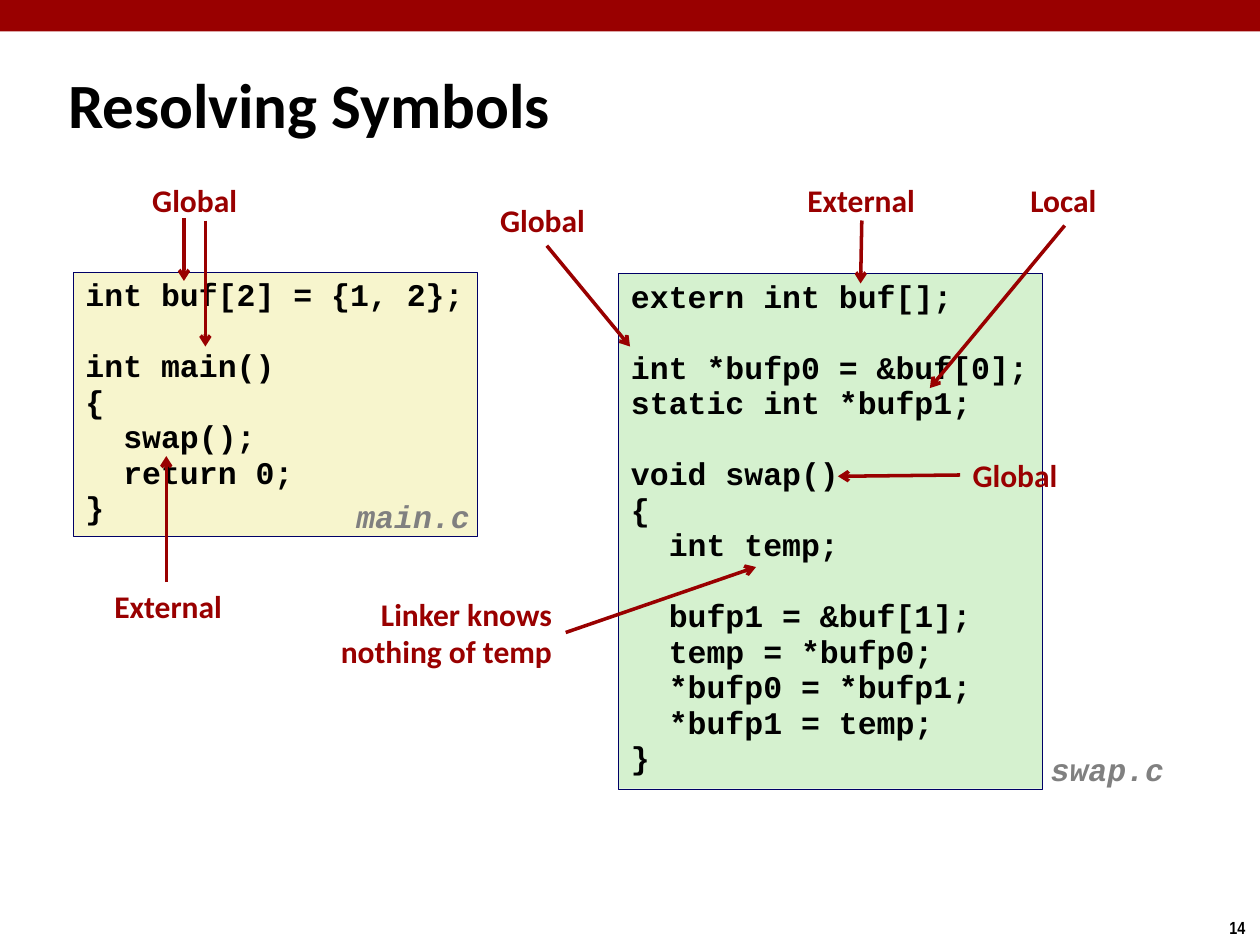
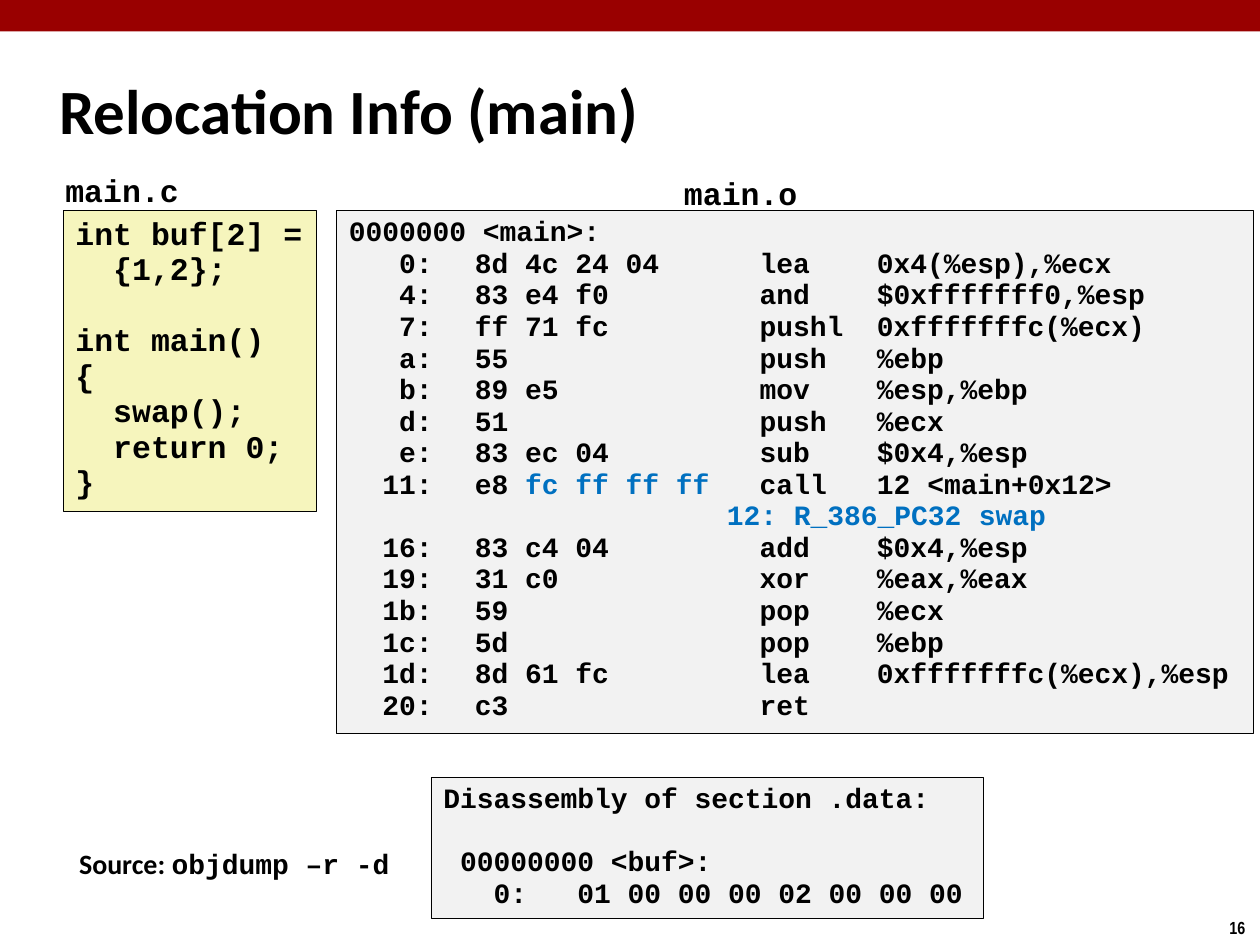
from dataclasses import dataclass

from lxml import etree
from pptx import Presentation
from pptx import util as u
from pptx.dml.color import RGBColor
from pptx.enum import shapes, text
from pptx.oxml import ns

PX = u.Inches(1) // 100  # 100 px to the inch

RED = RGBColor(0x99, 0, 0)
BLACK = RGBColor(0, 0, 0)
NAVY = RGBColor(0, 0, 0x66)
GREY = RGBColor(0x80, 0x80, 0x80)
BLUE = RGBColor(0, 0x70, 0xC0)
CREAM = RGBColor(0xF7, 0xF5, 0xCD)
LEMON = RGBColor(0xF6, 0xF5, 0xBD)
MINT = RGBColor(0xD5, 0xF1, 0xCF)
PALE = RGBColor(0xF2, 0xF2, 0xF2)

SANS = "Calibri"
MONO = "Courier New"
TIGHT = 0.94  # line spacing of code

MAIN = """int buf[2] = {1, 2};

int main()
{
  swap();
  return 0;
}"""

SWAP = """extern int buf[];

int *bufp0 = &buf[0];
static int *bufp1;

void swap()
{
  int temp;

  bufp1 = &buf[1];
  temp = *bufp0;
  *bufp0 = *bufp1;
  *bufp1 = temp;
}"""

DATA = """Disassembly of section .data:

 00000000 <buf>:
   0:   01 00 00 00 02 00 00 00"""

FIX = "12: R_386_PC32\tswap"
ASM = f"""0000000 <main>:
   0:\t8d 4c 24 04      lea    0x4(%esp),%ecx
   4:\t83 e4 f0         and    $0xfffffff0,%esp
   7:\tff 71 fc         pushl  0xfffffffc(%ecx)
   a:\t55               push   %ebp
   b:\t89 e5            mov    %esp,%ebp
   d:\t51               push   %ecx
   e:\t83 ec 04         sub    $0x4,%esp
  11:\te8 fc ff ff ff   call   12 <main+0x12>
\t\t\t{FIX}
  16:\t83 c4 04         add    $0x4,%esp
  19:\t31 c0            xor    %eax,%eax
  1b:\t59               pop    %ecx
  1c:\t5d               pop    %ebp
  1d:\t8d 61 fc         lea    0xfffffffc(%ecx),%esp
  20:\tc3               ret"""


@dataclass
class Box:
    x: int
    y: int
    w: int
    h: int

    def emu(self) -> list[int]:
        return [n * PX for n in (self.x, self.y, self.w, self.h)]


@dataclass
class Code:
    body: str
    box: Box
    fill: RGBColor
    line: RGBColor = BLACK
    size: int = 18
    marks: tuple[str, ...] = ()


@dataclass
class Note:
    body: str
    box: Box
    lines: tuple[tuple[int, int, int, int], ...]
    right: bool = False


CALLS = [
    Note("Global", Box(111, 139, 88, 40), ((146, 173, 146, 223), (163, 175, 163, 275))),
    Note("External", Box(81, 461, 106, 40), ((132, 462, 132, 362),)),
    Note("External", Box(631, 139, 106, 40), ((684, 175, 683, 225),)),
    Note("Local", Box(808, 139, 73, 40), ((845, 179, 738, 308),)),
    Note("Global", Box(762, 357, 88, 40), ((762, 377, 665, 378),)),
    Note("Linker knows\nnothing of temp", Box(259, 467, 189, 71),
         ((449, 502, 600, 450),), right=True),
    Note("Global", Box(387, 155, 88, 40), ((434, 195, 500, 275),)),
]


def split(row: str, marks: tuple[str, ...]) -> list[tuple[str, bool]]:
    """Cut a row into parts, each with a flag that says it is marked."""
    for mark in marks:
        if mark in row:
            head, _, tail = row.partition(mark)
            return [part for part in ((head, False), (mark, True), (tail, False)) if part[0]]
    return [(row or " ", False)]


def set_tabs(para) -> None:
    """Put a tab stop at each inch."""
    tabs = etree.SubElement(para._p.get_or_add_pPr(), ns.qn("a:tabLst"))
    for inch in range(1, 8):
        etree.SubElement(tabs, ns.qn("a:tab"), pos=str(inch * 100 * PX), algn="l")


def write(frame, body: str, *, size: int = 18, face: str = SANS, color: RGBColor = BLACK,
          italic: bool = False, align=text.PP_ALIGN.LEFT, pitch: float | None = None,
          anchor=text.MSO_ANCHOR.TOP, fit=text.MSO_AUTO_SIZE.SHAPE_TO_FIT_TEXT,
          marks: tuple[str, ...] = (), hue: RGBColor = BLUE, alt: str = MONO) -> None:
    """Fill a frame; marked phrases take the colour hue and the font alt."""
    frame.word_wrap = False
    frame.auto_size = fit
    frame.vertical_anchor = anchor
    for i, row in enumerate(body.split("\n")):
        para = frame.paragraphs[0] if i == 0 else frame.add_paragraph()
        para.alignment = align
        if pitch:
            para.line_spacing = pitch
        if "\t" in row:
            set_tabs(para)
        for part, marked in split(row, marks):
            run = para.add_run()
            run.text = part
            font = run.font
            font.size, font.bold, font.italic = u.Pt(size), True, italic
            font.name = alt if marked else face
            font.color.rgb = hue if marked else color


def label(slide, body: str, box: Box, **style) -> None:
    write(slide.shapes.add_textbox(*box.emu()).text_frame, body, **style)


def panel(slide, box: Box, fill: RGBColor, line: RGBColor | None = None):
    rect = slide.shapes.add_shape(shapes.MSO_SHAPE.RECTANGLE, *box.emu())
    rect.shadow.inherit = False
    rect.fill.solid()
    rect.fill.fore_color.rgb = fill
    if line is None:
        rect.line.fill.background()
    else:
        rect.line.color.rgb = line
        rect.line.width = u.Pt(0.25)
    return rect


def listing(slide, code: Code) -> None:
    rect = panel(slide, code.box, code.fill, code.line)
    write(rect.text_frame, code.body, size=code.size, face=MONO, pitch=TIGHT, marks=code.marks)


def arrow(slide, ends: tuple[int, int, int, int]) -> None:
    line = slide.shapes.add_connector(shapes.MSO_CONNECTOR.STRAIGHT, *(n * PX for n in ends))
    line.line.color.rgb = RED
    line.line.width = u.Pt(2)
    etree.SubElement(line.line._get_or_add_ln(), ns.qn("a:tailEnd"), type="arrow")
    etree.SubElement(line._element.spPr, ns.qn("a:effectLst"))


def start(deck, title: str, box: Box, page: int, pitch: float | None = None):
    """Add a slide with its band, page number and title."""
    slide = deck.slides.add_slide(deck.slide_layouts[5])
    panel(slide, Box(0, 0, 1000, 25), RED)
    label(slide, str(page), Box(966, 723, 34, 27), size=10, face="Arial Narrow")
    head = slide.shapes.title
    head.left, head.top, head.width, head.height = box.emu()
    write(head.text_frame, title, size=36, pitch=pitch,
          anchor=text.MSO_ANCHOR.MIDDLE, fit=text.MSO_AUTO_SIZE.NONE)
    return slide


def symbols(deck) -> None:
    slide = start(deck, "Resolving Symbols", Box(44, 39, 953, 86), 14)
    listing(slide, Code(MAIN, Box(58, 216, 321, 210), CREAM, NAVY))
    listing(slide, Code(SWAP, Box(491, 217, 336, 409), MINT, NAVY))
    for name, x, y in (("main.c", 273, 392), ("swap.c", 824, 593)):
        label(slide, name, Box(x, y, 110, 39), face=MONO, color=GREY, italic=True, pitch=TIGHT)
    for note in CALLS:
        align = text.PP_ALIGN.RIGHT if note.right else text.PP_ALIGN.LEFT
        label(slide, note.body, note.box, color=RED, align=align)
        for ends in note.lines:
            arrow(slide, ends)


def reloc(deck) -> None:
    slide = start(deck, "Relocation Info (main)", Box(37, 49, 953, 86), 16, pitch=0.82)
    short = MAIN.replace("= {1, 2};", "=\n  {1,2};")
    listing(slide, Code(short, Box(50, 167, 201, 239), LEMON))
    listing(slide, Code(DATA, Box(342, 617, 438, 112), PALE, size=16))
    label(slide, "Source: objdump –r -d", Box(53, 668, 270, 37), size=16, pitch=0.98,
          marks=("objdump –r -d",), hue=BLACK)
    for name, x, y in (("main.c", 42, 131), ("main.o", 533, 133)):
        label(slide, name, Box(x, y, 111, 40), face=MONO)
    listing(slide, Code(ASM, Box(267, 167, 728, 415), PALE, size=16,
                        marks=("fc ff ff ff", FIX)))


def main() -> None:
    deck = Presentation()
    deck.slide_width, deck.slide_height = 1000 * PX, 750 * PX
    symbols(deck)
    reloc(deck)
    deck.save("out.pptx")


if __name__ == "__main__":
    main()
